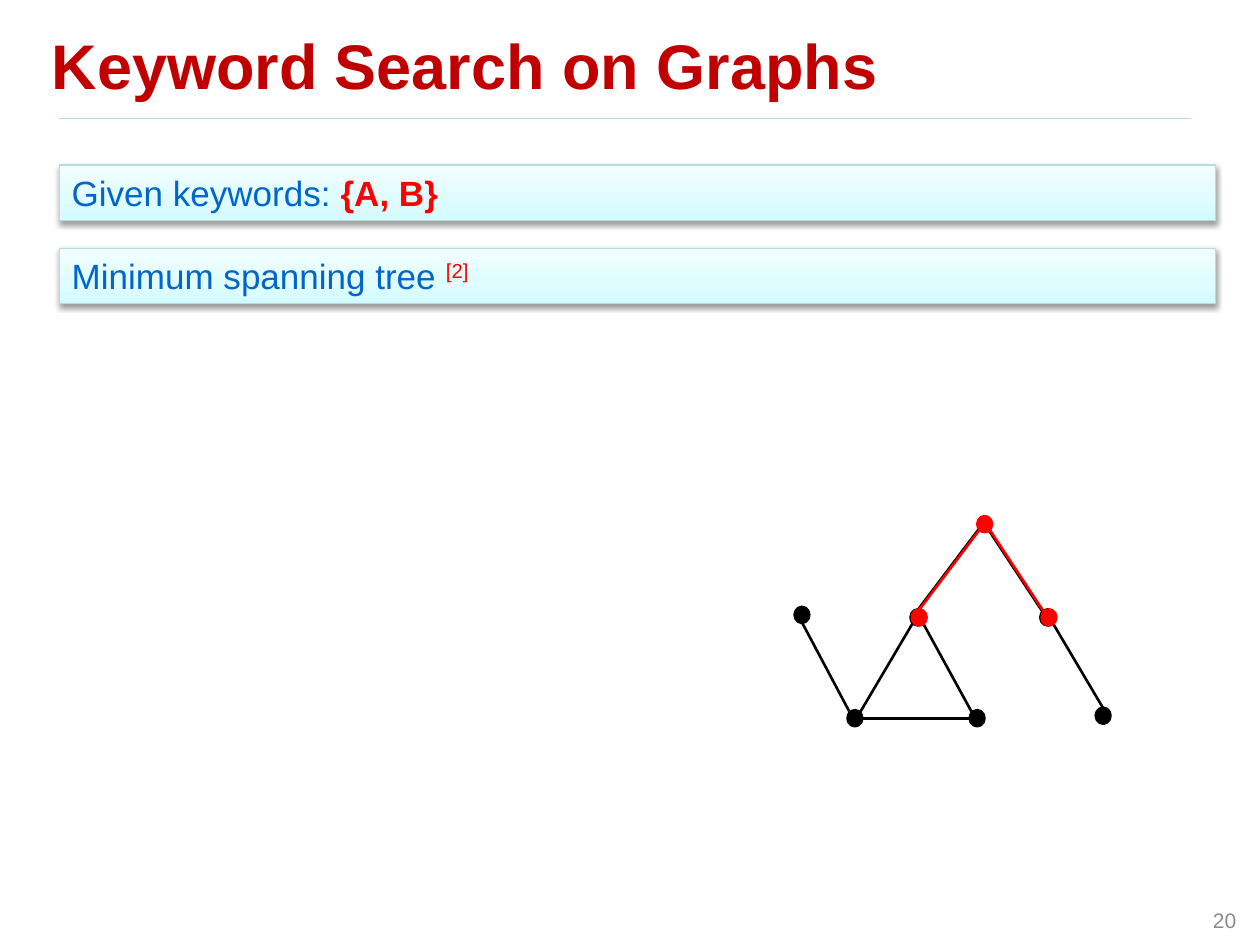
from dataclasses import dataclass
from typing import NamedTuple

import lxml.etree
import pptx
import pptx.dml.color
import pptx.enum.shapes
import pptx.enum.text
import pptx.oxml
import pptx.oxml.ns
import pptx.util

Pt = pptx.util.Pt
SHAPE = pptx.enum.shapes.MSO_SHAPE
ALIGN = pptx.enum.text.PP_ALIGN
MIDDLE = pptx.enum.text.MSO_ANCHOR.MIDDLE
qn = pptx.oxml.ns.qn


@dataclass(frozen=True)
class Theme:
    font: str = "Arial"
    title: str = "C00000"
    body: str = "0066CC"
    accent: str = "FF0000"
    muted: str = "8C8C8C"
    graph: str = "000000"
    rule: str = "B6DCDF"
    gradient: tuple = ((0, "D3FBFF"), (35, "DFFCFF"), (100, "F2FEFF"))
    title_pt: int = 36
    body_pt: int = 20
    number_pt: int = 12
    rule_pt: float = 0.75
    edge_pt: float = 1.5
    node_pt: float = 2


class Run(NamedTuple):
    text: str
    color: str
    size: int
    bold: bool = False
    superscript: bool = False


class Bar(NamedTuple):
    row: float
    runs: tuple[Run, ...]


class Node(NamedTuple):
    col: float
    row: float


class Edge(NamedTuple):
    """Two node names, each with the direction in which the line leaves it."""
    start: str
    start_dir: str
    end: str
    end_dir: str


T = Theme()
COLS, ROWS = 100, 75
NODE_W, NODE_H = 1.1, 1.2
TREE_SHIFT = 0.1  # the red tree lies slightly right of the graph, which shows behind it

prs = pptx.Presentation()
prs.slide_width, prs.slide_height = pptx.util.Inches(10), pptx.util.Inches(7.5)

BARS = (
    Bar(13.1, (Run("Given keywords: ", T.body, T.body_pt),
               Run("{A, B}", T.accent, T.body_pt, bold=True))),
    Bar(19.7, (Run("Minimum spanning tree ", T.body, T.body_pt),
               Run("[2]", T.accent, T.body_pt, superscript=True))),
)

# Node centres
NODES = {
    "root": Node(78.05, 41.6),
    "left": Node(72.85, 49),
    "right": Node(83.15, 49),
    "left leaf": Node(67.85, 57),
    "middle leaf": Node(77.55, 57),
    "outer": Node(63.65, 48.8),
    "right leaf": Node(87.55, 56.8),
}
TREE_NODES = ("root", "left", "right")
TREE_EDGES = (
    Edge("root", "SE", "right", "NW"),
    Edge("root", "SW", "left", "N"),
)
OTHER_EDGES = (
    Edge("left", "SE", "middle leaf", "NW"),
    Edge("left", "SW", "left leaf", "NE"),
    Edge("middle leaf", "W", "left leaf", "E"),
    Edge("right leaf", "N", "right", "SE"),
    Edge("outer", "S", "left leaf", "NW"),
)


def x(cols: float) -> int:
    return round(prs.slide_width * cols / COLS)


def y(rows: float) -> int:
    return round(prs.slide_height * rows / ROWS)


def rgb(color: str) -> pptx.dml.color.RGBColor:
    return pptx.dml.color.RGBColor.from_string(color)


def add_runs(p, *runs: Run) -> None:
    for run in runs:
        r = p.add_run()
        r.text = run.text
        r.font.name, r.font.size, r.font.bold = T.font, Pt(run.size), run.bold
        r.font.color.rgb = rgb(run.color)
        if run.superscript:
            r.font._element.set("baseline", "30000")


def add_line(s, x1: float, y1: float, x2: float, y2: float,
             color: str, width: float) -> None:
    line = s.shapes.add_connector(pptx.enum.shapes.MSO_CONNECTOR.STRAIGHT,
                                  x(x1), y(y1), x(x2), y(y2))
    line.line.color.rgb, line.line.width = rgb(color), Pt(width)
    lxml.etree.SubElement(line._element.spPr, qn("a:effectLst"))


def style_bar(sp) -> None:
    """Give the bar its upward gradient and soft shadow below."""
    ns = pptx.oxml.ns.nsdecls("a")
    stops = "".join(f'<a:gs pos="{pos * 1000}"><a:srgbClr val="{color}"/></a:gs>'
                    for pos, color in T.gradient)
    spPr = sp._element.spPr
    spPr.find(qn("a:prstGeom")).addnext(pptx.oxml.parse_xml(
        f'<a:gradFill {ns} rotWithShape="1"><a:gsLst>{stops}</a:gsLst>'
        '<a:lin ang="16200000" scaled="0"/></a:gradFill>'))
    sp.line.color.rgb, sp.line.width = rgb(T.rule), Pt(T.rule_pt)
    spPr.append(pptx.oxml.parse_xml(
        f'<a:effectLst {ns}><a:outerShdw blurRad="40000" dist="20000" '
        'dir="5400000" rotWithShape="0"><a:srgbClr val="000000">'
        '<a:alpha val="38000"/></a:srgbClr></a:outerShdw></a:effectLst>'))


def add_bar(s, bar: Bar) -> None:
    sp = s.shapes.add_shape(SHAPE.RECTANGLE, x(4.7), y(bar.row), x(91.75), y(4.4))
    style_bar(sp)
    tf = sp.text_frame
    tf.word_wrap = True
    tf.auto_size = pptx.enum.text.MSO_AUTO_SIZE.SHAPE_TO_FIT_TEXT
    tf.vertical_anchor = pptx.enum.text.MSO_ANCHOR.TOP
    p = tf.paragraphs[0]
    p.alignment = ALIGN.LEFT
    add_runs(p, *bar.runs)


def add_node(s, node: Node, color: str) -> None:
    sp = s.shapes.add_shape(SHAPE.OVAL, x(node.col - NODE_W / 2),
                            y(node.row - NODE_H / 2), x(NODE_W), y(NODE_H))
    sp.shadow.inherit = False
    sp.fill.solid()
    sp.fill.fore_color.rgb = sp.line.color.rgb = rgb(color)
    sp.line.width = Pt(T.node_pt)


def rim(node: Node, direction: str) -> tuple[float, float]:
    """Point on the node's outline in a compass direction."""
    reach = 0.5 / len(direction) ** 0.5
    dx = ("E" in direction) - ("W" in direction)
    dy = ("S" in direction) - ("N" in direction)
    return node.col + dx * reach * NODE_W, node.row + dy * reach * NODE_H


def add_graph(s, names: tuple[str, ...], edges: tuple[Edge, ...],
              color: str, shift: float = 0) -> None:
    nodes = {name: Node(n.col + shift, n.row) for name, n in NODES.items()}
    for e in edges:
        add_line(s, *rim(nodes[e.start], e.start_dir),
                 *rim(nodes[e.end], e.end_dir), color, T.edge_pt)
    for name in names:
        add_node(s, nodes[name], color)


def main() -> None:
    s = prs.slides.add_slide(prs.slide_layouts[5])
    add_line(s, 4.7, 9.4, 94.5, 9.4, T.rule, T.rule_pt)

    title = s.shapes.title
    title.left, title.top, title.width, title.height = x(3.1), y(0.75), x(91.4), y(8.7)
    title.text_frame.vertical_anchor = MIDDLE
    p = title.text_frame.paragraphs[0]
    p.alignment = ALIGN.LEFT
    add_runs(p, Run("Keyword Search on Graphs", T.title, T.title_pt, bold=True))

    for bar in BARS:
        add_bar(s, bar)
    add_graph(s, tuple(n for n in NODES if n != "root"),
              TREE_EDGES + OTHER_EDGES, T.graph)
    add_graph(s, TREE_NODES, TREE_EDGES, T.accent, TREE_SHIFT)

    tf = s.shapes.add_textbox(x(75.8), y(71), x(23.3), y(4)).text_frame
    tf.word_wrap, tf.vertical_anchor = True, MIDDLE
    p = tf.paragraphs[0]
    p.alignment = ALIGN.RIGHT
    add_runs(p, Run("20", T.muted, T.number_pt))

    prs.save("out.pptx")


if __name__ == "__main__":
    main()
